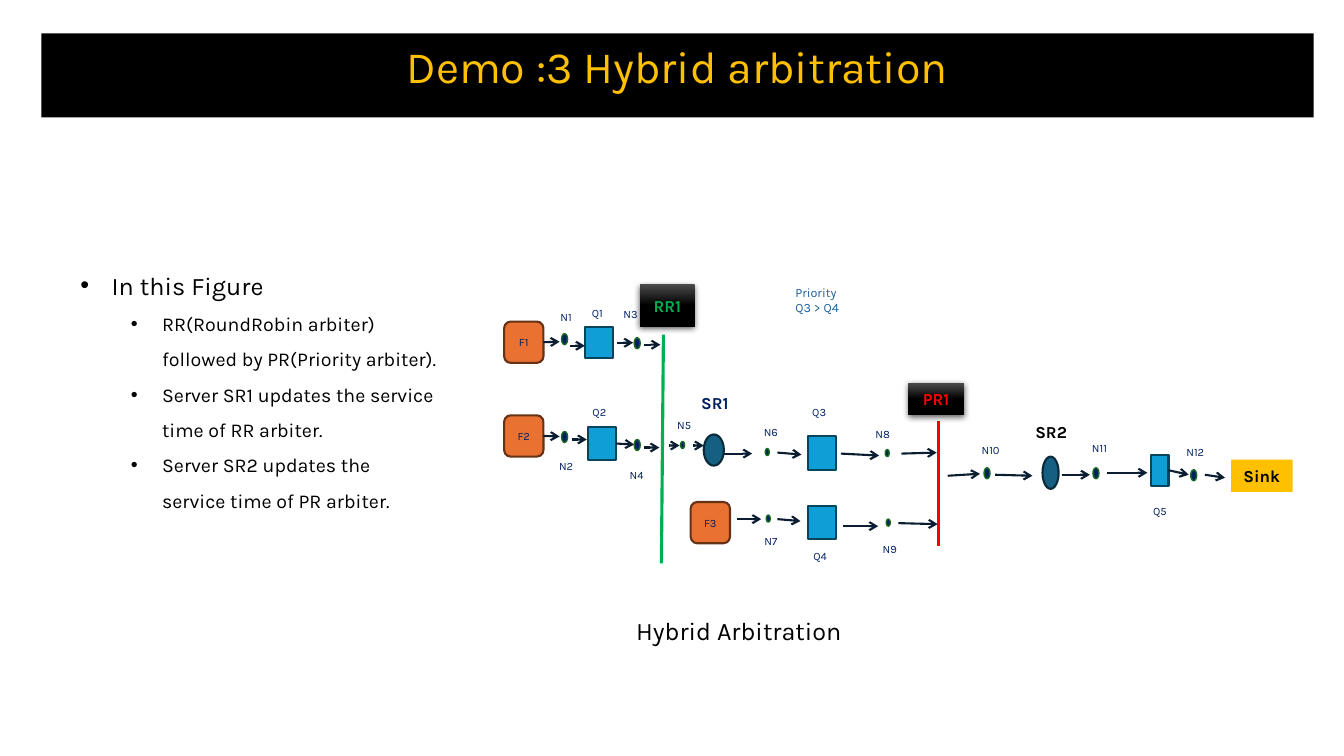
"""Build the hybrid arbitration slide with its queueing diagram."""
from lxml import etree
from pptx import Presentation
from pptx.dml.color import RGBColor
from pptx.enum.shapes import MSO_CONNECTOR, MSO_SHAPE
from pptx.enum.text import MSO_ANCHOR, MSO_AUTO_SIZE, PP_ALIGN
from pptx.oxml import parse_xml
from pptx.oxml.ns import nsdecls, qn
from pptx.util import Inches, Pt

RECTANGLE, ROUNDED = MSO_SHAPE.RECTANGLE, MSO_SHAPE.ROUNDED_RECTANGLE
OVAL, SERVER = MSO_SHAPE.OVAL, MSO_SHAPE.FLOWCHART_CONNECTOR
STRAIGHT = MSO_CONNECTOR.STRAIGHT
LEFT, CENTER = PP_ALIGN.LEFT, PP_ALIGN.CENTER
TOP, MIDDLE = MSO_ANCHOR.TOP, MSO_ANCHOR.MIDDLE
GROW = MSO_AUTO_SIZE.SHAPE_TO_FIT_TEXT
RIGHT_SIDE = 3

BLACK = RGBColor(0x00, 0x00, 0x00)
CHARCOAL = RGBColor(0x4B, 0x4B, 0x4B)
GOLD = RGBColor(0xFF, 0xC0, 0x00)
NAVY = RGBColor(0x00, 0x20, 0x60)
INK = RGBColor(0x0B, 0x1E, 0x31)
GREEN = RGBColor(0x00, 0xB0, 0x50)
DARK_GREEN = RGBColor(0x19, 0x6B, 0x24)
RED = RGBColor(0xFF, 0x00, 0x00)
ORANGE = RGBColor(0xE9, 0x71, 0x32)
BROWN = RGBColor(0x66, 0x32, 0x16)
SKY = RGBColor(0x0F, 0x9E, 0xD5)
DEEP_SKY = RGBColor(0x07, 0x45, 0x5D)
TEAL = RGBColor(0x15, 0x60, 0x82)
DEEP_TEAL = RGBColor(0x09, 0x2A, 0x39)
BLUE = RGBColor(0x21, 0x5F, 0x9A)

deck = Presentation()
deck.slide_width, deck.slide_height = Inches(13.33), Inches(7.5)
page = deck.slides.add_slide(deck.slide_layouts[5])


def write(box, lines, size, color, bold=False, align=CENTER, anchor=MIDDLE):
    frame = box.text_frame
    frame.word_wrap = True
    frame.vertical_anchor = anchor
    frame.text = "\n".join(lines)
    for para in frame.paragraphs:
        para.alignment = align
        para.font.name = "Karla"
        para.font.size = Pt(size)
        para.font.bold = bold
        para.font.color.rgb = color


def add_box(kind, place, fill=None, line=None, width=1.5):
    box = page.shapes.add_shape(kind, *map(Inches, place))
    box.shadow.inherit = False
    if fill is not None:
        box.fill.solid()
        box.fill.fore_color.rgb = fill
    if line is None:
        box.line.fill.background()
    else:
        box.line.color.rgb = line
        box.line.width = Pt(width)
    return box


title = page.shapes.title
title.left, title.top, title.width, title.height = map(Inches, (0.41, 0.33, 12.62, 0.64))
title.fill.solid()
title.fill.fore_color.rgb = BLACK
write(title, ["Demo :3 Hybrid arbitration"], 32, GOLD, anchor=TOP)
title.text_frame.auto_size = GROW

notes = page.shapes.add_textbox(Inches(0.7), Inches(2.63), Inches(3.74), Inches(2.49))
write(notes, [
    "In this Figure",
    "RR(RoundRobin arbiter) followed by PR(Priority arbiter).",
    "Server SR1 updates the service time of RR arbiter.",
    "Server SR2 updates the service time of PR arbiter.",
], 14, BLACK, align=LEFT, anchor=TOP)
notes.text_frame.auto_size = GROW
for index, para in enumerate(notes.text_frame.paragraphs):
    para.level = min(index, 1)
    if index:
        para.line_spacing = 1.5
    else:
        para.font.size = Pt(18)
    properties = para._p.get_or_add_pPr()
    properties.set("marL", str(Inches(0.81 if index else 0.31)))
    properties.set("indent", str(Inches(-0.31)))
    bullet_font = parse_xml(f'<a:buFont {nsdecls("a")} typeface="Arial"/>')
    bullet = parse_xml(f'<a:buChar {nsdecls("a")} char="•"/>')
    properties.find(qn("a:defRPr")).addprevious(bullet_font)
    bullet_font.addnext(bullet)

blocks = {}
for name, left, top in [("F1", 5.0, 3.19), ("F2", 5.0, 4.12), ("F3", 6.85, 4.98)]:
    blocks[name] = add_box(ROUNDED, (left, top, 0.39, 0.41), ORANGE, BROWN)
    write(blocks[name], [name], 8, NAVY)

for name, place in [
    ("Q1", (5.8, 3.24, 0.28, 0.31)), ("Q2", (5.83, 4.24, 0.28, 0.32)),
    ("Q3", (8.01, 4.33, 0.28, 0.33)), ("Q4", (8.01, 5.02, 0.28, 0.33)),
    ("Q5", (11.42, 4.51, 0.17, 0.31)),
]:
    blocks[name] = add_box(RECTANGLE, place, SKY, DEEP_SKY)

for x1, y1, x2, y2, color, width, source in [
    (6.58, 3.32, 6.56, 5.59, GREEN, 2.25, None),
    (9.31, 4.18, 9.31, 5.42, RED, 2.25, None),
    *((*ends, INK, 1.5, source) for source, ends in [
        ("F1", (5.4, 3.39, 5.55, 3.39)), (None, (5.65, 3.43, 5.8, 3.43)),
        (None, (6.12, 3.4, 6.28, 3.4)), (None, (6.39, 3.42, 6.55, 3.42)),
        ("F2", (5.4, 4.33, 5.55, 4.33)), (None, (5.67, 4.36, 5.82, 4.36)),
        ("Q2", (6.13, 4.41, 6.29, 4.41)), (None, (6.39, 4.44, 6.54, 4.44)),
        (None, (6.64, 4.42, 6.74, 4.42)), (None, (6.87, 4.42, 6.98, 4.42)),
        (None, (7.16, 4.5, 7.46, 4.5)), (None, (7.71, 4.49, 7.95, 4.51)),
        (None, (8.34, 4.5, 8.72, 4.52)), (None, (8.94, 4.5, 9.29, 4.49)),
        (None, (7.31, 5.15, 7.55, 5.15)), (None, (7.71, 5.15, 7.94, 5.17)),
        (None, (8.36, 5.22, 8.71, 5.22)), (None, (8.91, 5.19, 9.3, 5.2)),
        (None, (9.4, 4.72, 9.72, 4.7)), (None, (9.87, 4.71, 10.24, 4.72)),
        (None, (10.53, 4.71, 10.81, 4.71)), (None, (10.98, 4.69, 11.38, 4.69)),
        ("Q5", (11.6, 4.68, 11.79, 4.71)), (None, (11.95, 4.71, 12.15, 4.74)),
    ]),
]:
    link = page.shapes.add_connector(STRAIGHT, *map(Inches, (x1, y1, x2, y2)))
    if source:
        link.begin_connect(blocks[source], RIGHT_SIDE)
    link.line.color.rgb = color
    link.line.width = Pt(width)
    if color == INK:
        etree.SubElement(link.line._get_or_add_ln(), qn("a:tailEnd"), type="arrow")
    etree.SubElement(link._element.spPr, qn("a:effectLst"))

for left, top in [(5.57, 3.31), (6.29, 3.35), (5.57, 4.28), (6.29, 4.36),
                  (9.76, 4.64), (10.84, 4.64), (11.81, 4.66)]:
    add_box(OVAL, (left, top, 0.06, 0.11), NAVY, DARK_GREEN, 1)
for left, top in [(6.75, 4.38), (7.59, 4.45), (8.78, 4.46), (7.6, 5.11), (8.79, 5.15)]:
    add_box(OVAL, (left, top, 0.04, 0.07), NAVY, DARK_GREEN, 1)
for place in [(6.98, 4.31, 0.2, 0.31), (10.34, 4.53, 0.16, 0.32)]:
    add_box(SERVER, place, TEAL, DEEP_TEAL)

for name, place, color in [("RR1", (6.35, 2.82, 0.54, 0.42), GREEN),
                           ("PR1", (9.01, 3.8, 0.55, 0.32), RED)]:
    arbiter = add_box(RECTANGLE, place)
    arbiter.fill.gradient()
    arbiter.fill.gradient_angle = 270
    for stop, shade, position in zip(arbiter.fill.gradient_stops, (CHARCOAL, BLACK), (0, 0.5)):
        stop.color.rgb = shade
        stop.position = position
    arbiter._element.spPr.find(qn("a:effectLst")).append(parse_xml(
        f'<a:outerShdw {nsdecls("a")} blurRad="{Pt(4.5)}" dist="{Pt(1.5)}" dir="5400000" '
        'algn="ctr" rotWithShape="0"><a:srgbClr val="000000"><a:alpha val="63000"/>'
        '</a:srgbClr></a:outerShdw>'))
    write(arbiter, [name], 12, color, True)

sink = add_box(RECTANGLE, (12.21, 4.56, 0.61, 0.32), GOLD)
write(sink, ["Sink"], 12, BLACK, True)

for name, left, top in [
    ("Q1", 5.62, 2.94), ("Q2", 5.64, 3.93), ("Q3", 7.82, 3.93), ("Q4", 7.83, 5.36),
    ("Q5", 11.2, 4.91), ("N1", 5.31, 2.98), ("N2", 5.31, 4.46), ("N3", 5.95, 2.96),
    ("N4", 6.01, 4.55), ("N5", 6.48, 4.06), ("N6", 7.34, 4.13), ("N7", 7.34, 5.21),
    ("N8", 8.45, 4.15), ("N9", 8.52, 5.29), ("N10", 9.52, 4.3), ("N11", 10.6, 4.28),
    ("N12", 11.55, 4.32),
]:
    label = page.shapes.add_textbox(Inches(left), Inches(top), Inches(0.61), Inches(0.32))
    write(label, [name], 8, NAVY)

for name, place, color in [("SR1", (6.82, 3.89, 0.54, 0.21), NAVY),
                           ("SR2", (10.12, 4.12, 0.61, 0.32), BLACK)]:
    label = page.shapes.add_textbox(*map(Inches, place))
    write(label, [name], 12, color, True)

for lines, place, size, color in [
    (["Priority", "Q3 > Q4"], (7.79, 2.78, 1.46, 0.61), 9, BLUE),
    (["Hybrid Arbitration"], (6.21, 6.06, 4.29, 0.4), 18, BLACK),
]:
    caption = page.shapes.add_textbox(*map(Inches, place))
    write(caption, lines, size, color, align=LEFT, anchor=TOP)
    caption.text_frame.auto_size = GROW

deck.save("out.pptx")
